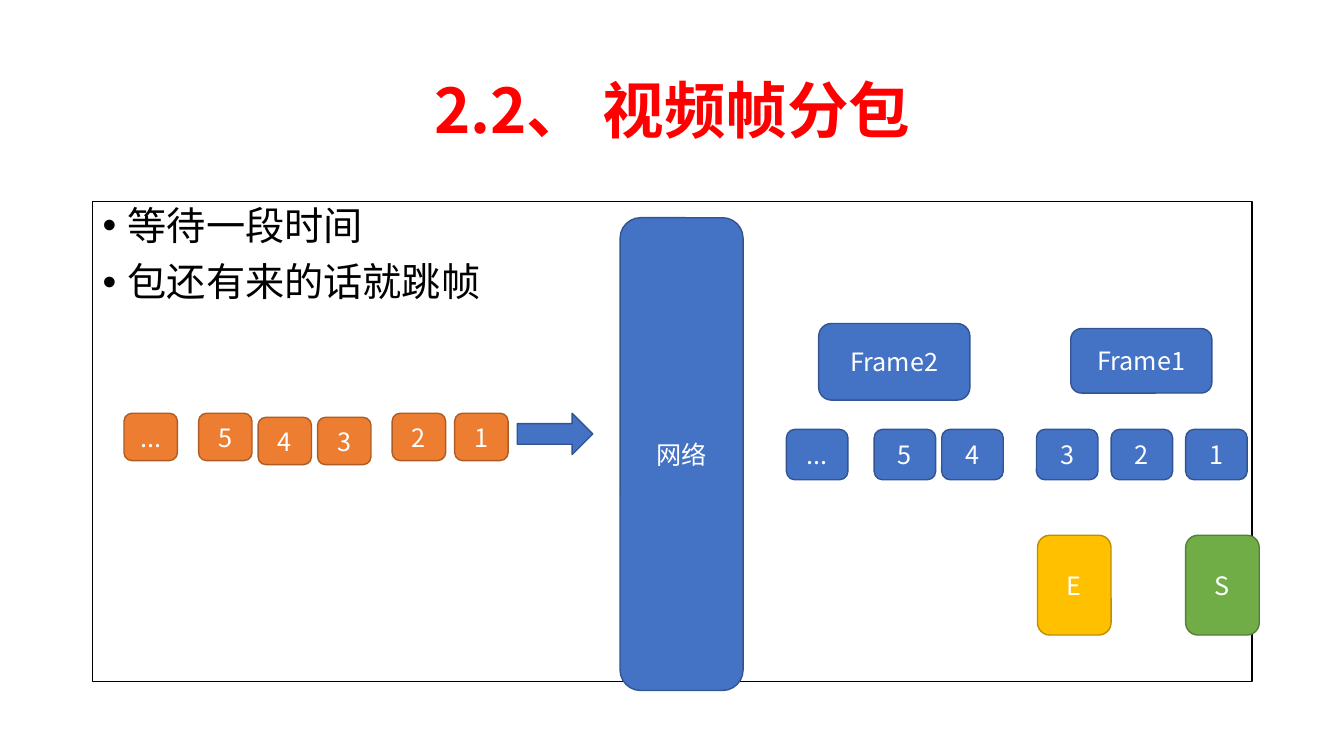
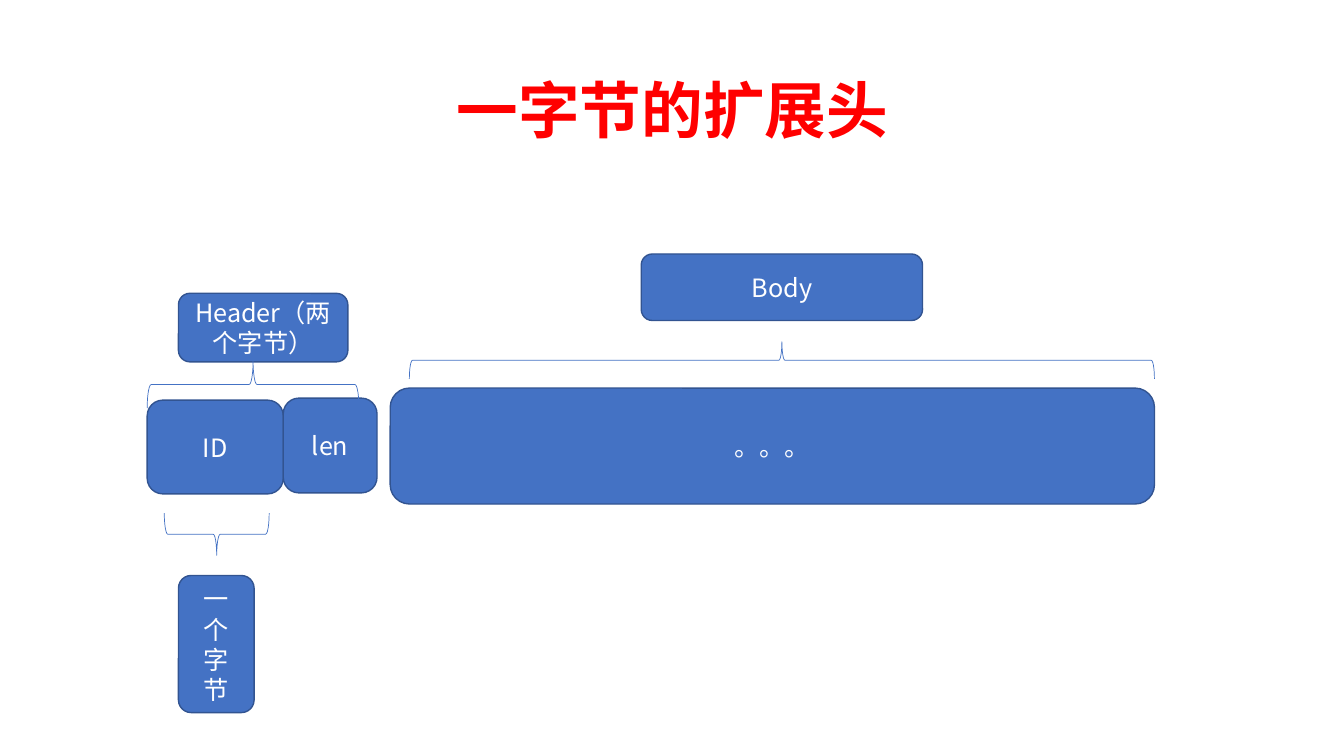
import dataclasses

import lxml.etree
import pptx
import pptx.dml.color
import pptx.enum.shapes
import pptx.enum.text
import pptx.oxml.ns
import pptx.shapes.autoshape
import pptx.slide
import pptx.text.text
import pptx.util

SCALE = 9144  # EMU per px, 100 px to the inch
FONT = "Noto Sans CJK SC"
HEX = {
    "white": "FFFFFF", "black": "000000", "red": "FF0000",
    "blue": "4472C4", "navy": "325491",
    "orange": "ED7D31", "rust": "AF5C24",
    "green": "70AD47", "moss": "538035",
    "gold": "FFC000", "bronze": "BD8E00",
}
EDGE = {"blue": "navy", "orange": "rust", "green": "moss",
        "gold": "bronze", "white": "black"}
KIND = pptx.enum.shapes.MSO_SHAPE
ALIGN = pptx.enum.text.PP_ALIGN
ANCHOR = pptx.enum.text.MSO_ANCHOR


@dataclasses.dataclass
class Box:
    text: str
    left: int
    top: int
    width: int
    height: int
    fill: str = "blue"
    kind: KIND = KIND.ROUNDED_RECTANGLE


@dataclasses.dataclass
class Brace:
    """A brace lying on its side, given by the area it covers."""
    left: int
    top: int
    width: int
    height: int
    kind: KIND
    turn: int


def px(size: float) -> pptx.util.Emu:
    return pptx.util.Emu(round(size * SCALE))


def color(name: str) -> pptx.dml.color.RGBColor:
    return pptx.dml.color.RGBColor.from_string(HEX[name])


def write(frame: pptx.text.text.TextFrame, text: str, *, size: int = 18,
          ink: str = "white", bold: bool = False,
          align: ALIGN = ALIGN.CENTER, anchor: ANCHOR = ANCHOR.MIDDLE,
          spacing: float = 1.0, before: int = 0, bullet: bool = False) -> None:
    """Fill a frame, one paragraph for each line of text."""
    frame.word_wrap = True
    frame.auto_size = pptx.enum.text.MSO_AUTO_SIZE.NONE
    frame.vertical_anchor = anchor
    frame.text = text
    for para in frame.paragraphs:
        para.alignment = align
        para.line_spacing = spacing
        para.space_before = pptx.util.Pt(before)
        if bullet:
            add_bullet(para)
        for run in para.runs:
            run.font.name = FONT
            run.font.size = pptx.util.Pt(size)
            run.font.bold = bold
            run.font.color.rgb = color(ink)
            east = lxml.etree.SubElement(run.font._element,
                                         pptx.oxml.ns.qn("a:ea"))
            east.set("typeface", FONT)


def add_bullet(para: pptx.text.text._Paragraph) -> None:
    props = para._p.get_or_add_pPr()
    props.set("marL", str(px(25)))
    props.set("indent", str(px(-25)))
    face = lxml.etree.SubElement(props, pptx.oxml.ns.qn("a:buFont"))
    face.set("typeface", "Arial")
    mark = lxml.etree.SubElement(props, pptx.oxml.ns.qn("a:buChar"))
    mark.set("char", "•")


def draw_box(slide: pptx.slide.Slide,
             box: Box) -> pptx.shapes.autoshape.Shape:
    shape = slide.shapes.add_shape(box.kind, px(box.left), px(box.top),
                                   px(box.width), px(box.height))
    shape.shadow.inherit = False
    shape.fill.solid()
    shape.fill.fore_color.rgb = color(box.fill)
    shape.line.color.rgb = color(EDGE[box.fill])
    shape.line.width = pptx.util.Pt(1)
    if box.text:
        write(shape.text_frame, box.text)
    return shape


def draw_brace(slide: pptx.slide.Slide, brace: Brace) -> None:
    shift = (brace.width - brace.height) / 2
    shape = slide.shapes.add_shape(
        brace.kind, px(brace.left + shift), px(brace.top - shift),
        px(brace.height), px(brace.width))
    shape.rotation = brace.turn
    shape.shadow.inherit = False
    shape.fill.background()
    shape.line.color.rgb = color("blue")
    shape.line.width = pptx.util.Pt(0.5)


def add_slide(deck: pptx.presentation.Presentation,
              title: str) -> pptx.slide.Slide:
    slide = deck.slides.add_slide(deck.slide_layouts.get_by_name("Title Only"))
    head = slide.shapes.title
    head.left, head.top = px(92), px(40)
    head.width, head.height = px(1150), px(145)
    write(head.text_frame, title, size=44, ink="red", bold=True, spacing=0.9)
    return slide


def build_frames(deck: pptx.presentation.Presentation) -> None:
    slide = add_slide(deck, "2.2、 视频帧分包")
    panel = draw_box(slide, Box("", 92, 200, 1150, 476, "white",
                                KIND.RECTANGLE))
    write(panel.text_frame, "等待一段时间\n包还有来的话就跳帧", size=28,
          ink="black", align=ALIGN.LEFT, anchor=ANCHOR.TOP, spacing=0.9,
          before=10, bullet=True)

    labels = ("...", "5", "4", "3", "2", "1")
    sent = zip(labels, (123, 197, 256, 315, 389, 451))
    got = zip(labels, (780, 867, 934, 1028, 1102, 1176))
    boxes = [
        Box("网络", 615, 216, 122, 469),
        *(Box(label, left, 414 if label in "43" else 410, 53, 47, "orange")
          for label, left in sent),
        Box("", 513, 410, 75, 41, kind=KIND.RIGHT_ARROW),
        *(Box(label, left, 426, 61, 50) for label, left in got),
        Box("Frame1", 1062, 326, 140, 64),
        Box("Frame2", 812, 321, 150, 76),
        Box("S", 1176, 531, 73, 99, "green"),
        Box("E", 1029, 531, 73, 99, "gold"),
    ]
    for box in boxes:
        draw_box(slide, box)


def build_header(deck: pptx.presentation.Presentation) -> None:
    slide = add_slide(deck, "一字节的扩展头")
    boxes = [
        Box("ID", 146, 397, 135, 93),
        Box("len", 281, 395, 93, 94),
        Box("。。。", 387, 385, 758, 115),
        Box("Header（两个字节）", 177, 291, 168, 68),
        Box("Body", 636, 252, 279, 66),
        Box("一个字节", 177, 571, 75, 136),
    ]
    braces = [
        Brace(146, 358, 210, 47, KIND.LEFT_BRACE, 90),
        Brace(406, 339, 739, 37, KIND.RIGHT_BRACE, 270),
        Brace(163, 509, 104, 42, KIND.LEFT_BRACE, 270),
    ]
    for box in boxes:
        draw_box(slide, box)
    for brace in braces:
        draw_brace(slide, brace)


def main() -> None:
    deck = pptx.Presentation()
    deck.slide_width, deck.slide_height = px(1333), px(750)
    build_frames(deck)
    build_header(deck)
    deck.save("out.pptx")


if __name__ == "__main__":
    main()
